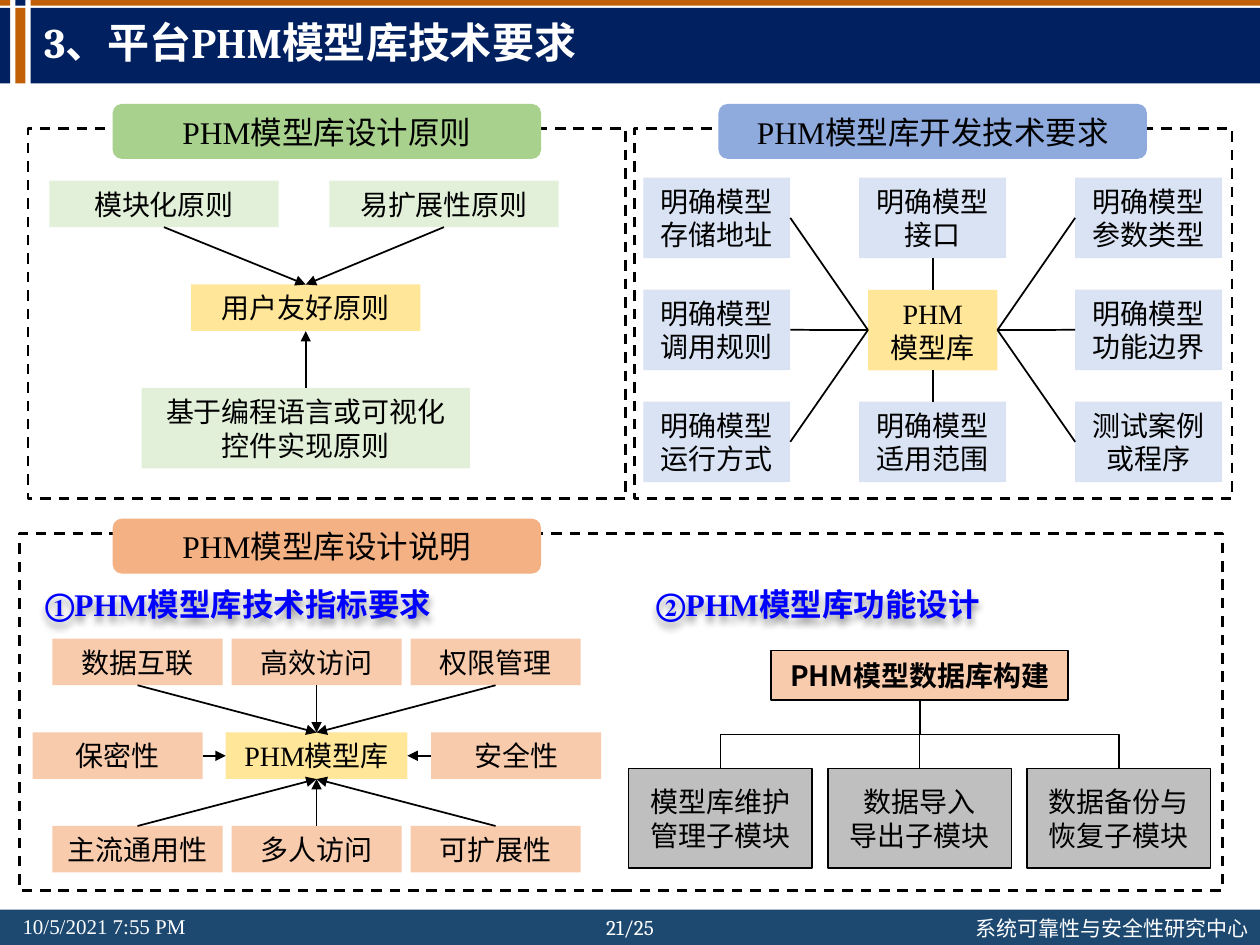
from dataclasses import dataclass

from lxml import etree
from pptx import Presentation
from pptx.dml.color import RGBColor
from pptx.enum.dml import MSO_LINE
from pptx.enum.shapes import MSO_CONNECTOR, MSO_SHAPE
from pptx.enum.text import MSO_ANCHOR, PP_ALIGN
from pptx.oxml.ns import qn
from pptx.util import Pt

RECT, ROUNDED = MSO_SHAPE.RECTANGLE, MSO_SHAPE.ROUNDED_RECTANGLE
STRAIGHT, ELBOW = MSO_CONNECTOR.STRAIGHT, MSO_CONNECTOR.ELBOW
LEFT, CENTER = PP_ALIGN.LEFT, PP_ALIGN.CENTER
MIDDLE = MSO_ANCHOR.MIDDLE
DASH = MSO_LINE.DASH
TOP_SIDE, LEFT_SIDE, BOTTOM_SIDE, RIGHT_SIDE = range(4)


@dataclass(frozen=True)
class Theme:
    navy: str = "002060"
    orange: str = "C16007"
    footer: str = "1D4971"
    white: str = "FFFFFF"
    black: str = "000000"
    heading: str = "0000FF"
    green: str = "A9D18E"
    pale_green: str = "E2F0D9"
    blue: str = "8FAADC"
    pale_blue: str = "DAE3F3"
    salmon: str = "F4B183"
    pale_salmon: str = "F8CBAD"
    yellow: str = "FFE699"
    gray: str = "BFBFBF"
    serif: str = "Times New Roman"
    title_font: str = "Cambria"
    sans: str = "Noto Sans CJK SC"
    title_size: int = 24
    heading_size: int = 18
    body_size: int = 16
    footer_size: int = 12


theme = Theme()

prs = Presentation()
prs.slide_width, prs.slide_height = Pt(720), Pt(540)
slide = prs.slides.add_slide(prs.slide_layouts[5])
shapes = slide.shapes


def add_box(box, text="", fill=None, line=None, size=theme.body_size, font=theme.serif,
            color=theme.black, bold=False, align=CENTER, kind=RECT, wrap=True):
    """Add a shape at box (left, top, width, height) with its text centred vertically."""
    shape = shapes.add_shape(kind, *(Pt(v) for v in box))
    shape.shadow.inherit = False
    if fill:
        shape.fill.solid()
        shape.fill.fore_color.rgb = RGBColor.from_string(fill)
    else:
        shape.fill.background()
    if line:
        shape.line.color.rgb = RGBColor.from_string(theme.black)
        shape.line.width = Pt(line)
    else:
        shape.line.fill.background()
    frame = shape.text_frame
    frame.word_wrap, frame.vertical_anchor = wrap, MIDDLE
    if text:
        frame.text = text
    for paragraph in frame.paragraphs:
        paragraph.alignment = align
        for run in paragraph.runs:
            run.font.size, run.font.name, run.font.bold = Pt(size), font, bold
            run.font.color.rgb = RGBColor.from_string(color)
    return shape


def connect(start, start_side, end, end_side, arrow=False, kind=STRAIGHT):
    connector = shapes.add_connector(kind, 0, 0, 0, 0)
    connector.begin_connect(start, start_side)
    connector.end_connect(end, end_side)
    connector.line.color.rgb = RGBColor.from_string(theme.black)
    connector.line.width = Pt(1)
    properties = connector._element.spPr
    if arrow:
        etree.SubElement(properties.find(qn("a:ln")), qn("a:tailEnd"), type="triangle")
    etree.SubElement(properties, qn("a:effectLst"))
    return connector


# Header and footer bands
for box, fill in [
    ((0, 519.8, 720, 20.2), theme.footer),
    ((17.5, 4.5, 702.5, 43.2), theme.navy),
    ((17.5, 0, 702.5, 3.3), theme.orange),
    ((8.8, 4.5, 5.8, 43.2), theme.orange),
    ((8.8, 0, 5.8, 3.3), theme.navy),
    ((0, 4.5, 5.8, 43.2), theme.navy),
    ((0, 0, 5.8, 3.3), theme.orange),
]:
    add_box(box, fill=fill)

for box, text, font, align in [
    ((5.8, 518.6, 117.4, 21.6), "10/5/2021 7:55 PM", theme.serif, LEFT),
    ((550.4, 519.6, 172.8, 21.6), "系统可靠性与安全性研究中心", theme.sans, LEFT),
    ((334.8, 519.2, 50.4, 21.6), "21/25", theme.title_font, CENTER),
]:
    add_box(box, text, size=theme.footer_size, font=font, color=theme.white,
            align=align, wrap=False)

# The title goes in front of the navy band
title = shapes.title
shapes._spTree.append(title._element)
title.left, title.top, title.width, title.height = Pt(18), Pt(4.3), Pt(638.6), Pt(43.2)
title.text_frame.text = "3、平台PHM模型库技术要求"
title.text_frame.vertical_anchor = MIDDLE
title_line = title.text_frame.paragraphs[0]
title_line.alignment, title_line.line_spacing = LEFT, 0.9
title_font = title_line.runs[0].font
title_font.name, title_font.size, title_font.bold = theme.title_font, Pt(theme.title_size), True
title_font.color.rgb = RGBColor.from_string(theme.white)

# Dashed panels with their captions
for panel, caption_at, caption, fill in [
    ((16, 73.4, 341.6, 211.6), (64.4, 59.4), "PHM模型库设计原则", theme.green),
    ((362.4, 73.4, 341.6, 211.6), (410.6, 59.4), "PHM模型库开发技术要求", theme.blue),
    ((11, 304.8, 687.8, 204), (64.4, 296.4), "PHM模型库设计说明", theme.salmon),
]:
    add_box(panel, line=1.5).line.dash_style = DASH
    add_box((*caption_at, 244.8, 31.4), caption, fill, size=theme.heading_size, kind=ROUNDED)

# Design principles
modular = add_box((28.2, 103.2, 131, 26.6), "模块化原则", theme.pale_green)
extensible = add_box((188.2, 103.2, 131, 26.6), "易扩展性原则", theme.pale_green)
friendly = add_box((109.2, 162.6, 131, 26.6), "用户友好原则", theme.yellow)
controls = add_box((80.9, 221.6, 187.6, 46), "基于编程语言或可视化控件实现原则", theme.pale_green)
connect(modular, BOTTOM_SIDE, friendly, TOP_SIDE, arrow=True)
connect(extensible, BOTTOM_SIDE, friendly, TOP_SIDE, arrow=True)
connect(controls, TOP_SIDE, friendly, BOTTOM_SIDE, arrow=True)

# Development requirements around the model library
library = add_box((496, 165.6, 74, 46), "PHM\n模型库", theme.yellow)
requirement_rows = [
    ["明确模型存储地址", "明确模型接口", "明确模型参数类型"],
    ["明确模型调用规则", None, "明确模型功能边界"],
    ["明确模型运行方式", "明确模型适用范围", "测试案例或程序"],
]
for row, requirements in enumerate(requirement_rows):
    for column, requirement in enumerate(requirements):
        if not requirement:
            continue
        box = add_box((367.6 + 123.4 * column, 101.5 + 64 * row, 84, 46),
                      requirement, theme.pale_blue)
        if column == 0:
            connect(box, RIGHT_SIDE, library, LEFT_SIDE)
        elif column == 2:
            connect(box, LEFT_SIDE, library, RIGHT_SIDE)
        elif row == 0:
            connect(box, BOTTOM_SIDE, library, TOP_SIDE)
        else:
            connect(box, TOP_SIDE, library, BOTTOM_SIDE)

# Blue headings with a soft shadow
for left, heading in [(18.7, "①PHM模型库技术指标要求"), (367.9, "②PHM模型库功能设计")]:
    box = add_box((left, 330.5, 244.8, 29), heading, size=theme.heading_size,
                  color=theme.heading, bold=True, align=LEFT)
    effects = box._element.spPr.find(qn("a:effectLst"))
    shadow = etree.SubElement(effects, qn("a:outerShdw"), blurRad="50800", dist="38100",
                              dir="5400000", algn="t")
    shade = etree.SubElement(shadow, qn("a:srgbClr"), val=theme.black)
    etree.SubElement(shade, qn("a:alpha"), val="40000")

# Technical indicators pointing at the model library
indicator_hub = add_box((129, 418.6, 103.8, 26.6), "PHM模型库", theme.yellow)
for top, labels, side, hub_side in [
    (365, ["数据互联", "高效访问", "权限管理"], BOTTOM_SIDE, TOP_SIDE),
    (472, ["主流通用性", "多人访问", "可扩展性"], TOP_SIDE, BOTTOM_SIDE),
]:
    for column, label in enumerate(labels):
        indicator = add_box((30 + 102.3 * column, top, 97.2, 26.6), label, theme.pale_salmon)
        connect(indicator, side, indicator_hub, hub_side, arrow=True)
for left, label, side, hub_side in [
    (18.6, "保密性", RIGHT_SIDE, LEFT_SIDE),
    (246.4, "安全性", LEFT_SIDE, RIGHT_SIDE),
]:
    indicator = add_box((left, 418.6, 97.2, 26.6), label, theme.pale_salmon)
    connect(indicator, side, indicator_hub, hub_side, arrow=True)

# Function tree of the database
database = add_box((440.5, 371.8, 170, 28.4), "PHM模型数据库构建", theme.pale_salmon,
                   line=1, font=theme.sans, bold=True)
for column, module in enumerate(["模型库维护管理子模块", "数据导入\n导出子模块", "数据备份与恢复子模块"]):
    box = add_box((359.2 + 113.8 * column, 439.2, 105, 56.8), module, theme.gray,
                  line=1, font=theme.sans)
    if column == 1:
        connect(database, BOTTOM_SIDE, box, TOP_SIDE)
        continue
    branch = connect(database, BOTTOM_SIDE, box, TOP_SIDE, kind=ELBOW)
    # A quarter turn makes the elbow leave downwards; its frame swaps width and height.
    span, drop = branch.width, branch.height
    branch.left += (span - drop) // 2
    branch.top -= (span - drop) // 2
    branch.width, branch.height = drop, span
    frame = branch._element.spPr.find(qn("a:xfrm"))
    frame.set("rot", "5400000" if column == 0 else "16200000")
    frame.set("flipH", "0" if column == 0 else "1")

prs.save("out.pptx")
